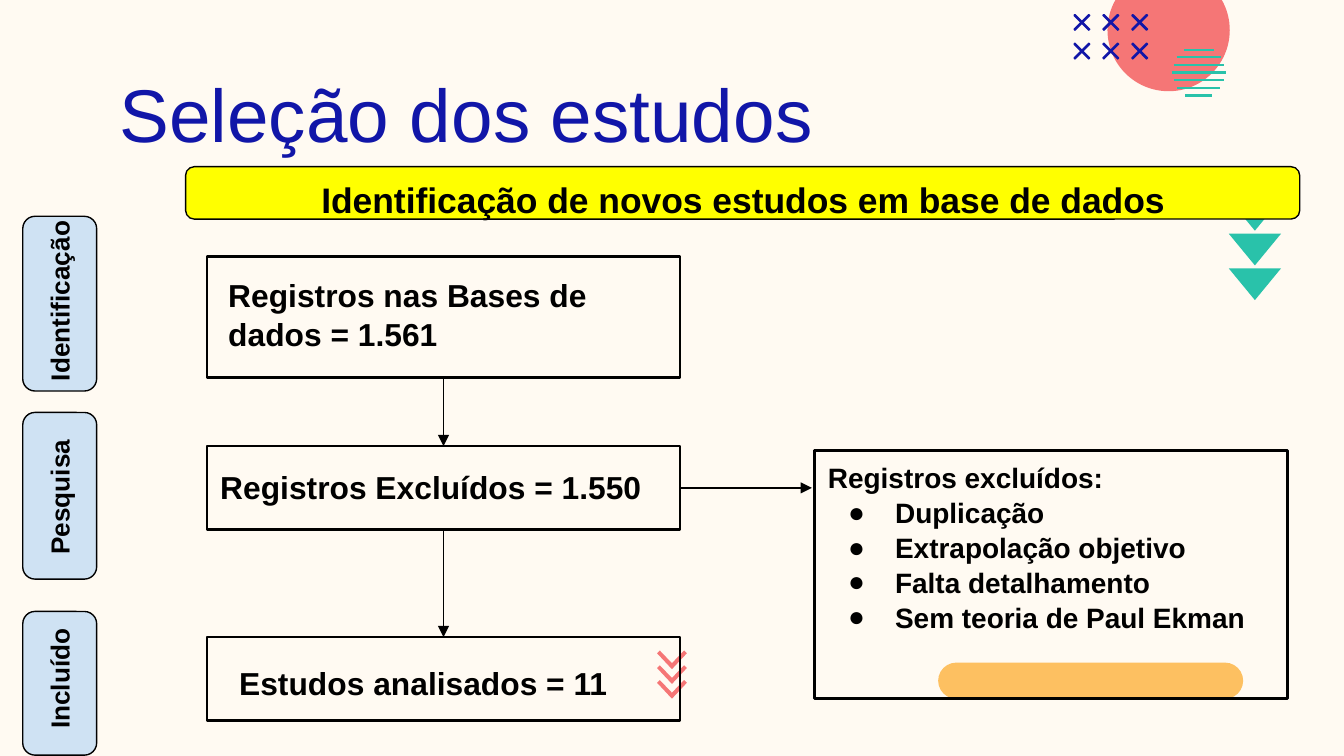
from lxml import etree
from pptx import Presentation
from pptx.dml.color import RGBColor
from pptx.enum.shapes import MSO_CONNECTOR, MSO_SHAPE
from pptx.enum.text import MSO_ANCHOR, MSO_AUTO_SIZE, PP_ALIGN
from pptx.oxml.ns import qn
from pptx.util import Pt

RECT = MSO_SHAPE.RECTANGLE
ROUND = MSO_SHAPE.ROUNDED_RECTANGLE
OVAL = MSO_SHAPE.OVAL
TRIANGLE = MSO_SHAPE.FLOWCHART_MERGE
STRAIGHT = MSO_CONNECTOR.STRAIGHT
LEFT, CENTER = PP_ALIGN.LEFT, PP_ALIGN.CENTER
TOP, MIDDLE = MSO_ANCHOR.TOP, MSO_ANCHOR.MIDDLE
NO_FIT = MSO_AUTO_SIZE.NONE

COLORS = {
    "cream": "FFFAF2", "coral": "F57676", "teal": "29C2AA", "navy": "1116A8",
    "orange": "FDC061", "yellow": "FFFF00", "sky": "CFE2F3", "black": "000000",
}
FONT = "Arial"
INSET = 7.2
LINE_SPACING = 1.04
BOX_X, BOX_W = 110.9, 253.4


def rgb(name):
    return RGBColor.from_string(COLORS[name])


def paint(sp, fill=None, line=None, width=0.75):
    sp.shadow.inherit = False
    if fill:
        sp.fill.solid()
        sp.fill.fore_color.rgb = rgb(fill)
    else:
        sp.fill.background()
    if line:
        sp.line.color.rgb = rgb(line)
        sp.line.width = Pt(width)
    else:
        sp.line.fill.background()


def add_shape(s, kind, x, y, w, h, fill=None, line=None, width=0.75):
    sp = s.shapes.add_shape(kind, Pt(x), Pt(y), Pt(w), Pt(h))
    paint(sp, fill, line, width)
    return sp


def add_polygon(s, points, fill, line=None):
    points = [(Pt(x), Pt(y)) for x, y in points]
    builder = s.shapes.build_freeform(*points[0], scale=1.0)
    builder.add_line_segments(points[1:], close=True)
    paint(builder.convert_to_shape(), fill, line)


def add_line(s, x1, y1, x2, y2, color="black", width=0.75, arrow=False):
    c = s.shapes.add_connector(STRAIGHT, Pt(x1), Pt(y1), Pt(x2), Pt(y2))
    c.line.color.rgb = rgb(color)
    c.line.width = Pt(width)
    if arrow:
        etree.SubElement(c.line._get_or_add_ln(), qn("a:tailEnd"), type="triangle")
    etree.SubElement(c._element.spPr, qn("a:effectLst"))


def place(sp, x, y, w, h):
    sp.left, sp.top, sp.width, sp.height = Pt(x), Pt(y), Pt(w), Pt(h)


def set_text(sp, lines, size, align=LEFT, color="black", bold=True, anchor=TOP,
             spacing=LINE_SPACING):
    tf = sp.text_frame
    tf.word_wrap = True
    tf.auto_size = NO_FIT
    tf.vertical_anchor = anchor
    tf.margin_left = tf.margin_right = tf.margin_top = tf.margin_bottom = Pt(INSET)
    tf.text = "\n".join(lines)
    for p in tf.paragraphs:
        p.alignment = align
        p.line_spacing = spacing
        p.space_before = Pt(0)
        p.font.name, p.font.size, p.font.bold = FONT, Pt(size), bold
        p.font.color.rgb = rgb(color)


def add_text(s, text, x, y, w, h, size, align=LEFT, rotation=0):
    sp = s.shapes.add_textbox(Pt(x), Pt(y), Pt(w), Pt(h))
    sp.rotation = rotation
    set_text(sp, [text], size, align)


def set_bullet(p, char=None, indent=0, hanging=0):
    pPr = p._p.get_or_add_pPr()
    pPr.set("marL", str(Pt(indent)))
    pPr.set("indent", str(-Pt(hanging)))
    bullet = etree.Element(qn("a:buChar"), char=char) if char else etree.Element(qn("a:buNone"))
    pPr.find(qn("a:defRPr")).addprevious(bullet)


def add_cross(s, cx, cy, arm=4.2, notch=0.5):
    quarter = [(0, -notch), (arm - notch, -arm), (arm, notch - arm)]
    points = []
    for _ in range(4):
        points += [(cx + x, cy + y) for x, y in quarter]
        quarter = [(-y, x) for x, y in quarter]
    add_polygon(s, points, "navy", "navy")


def add_chevron(s, x, y):
    outline = [(0, 1.5), (8, 10), (16, 1.5), (14.5, 0), (8, 6.8), (1.5, 0)]
    add_polygon(s, [(x + dx, y + dy) for dx, dy in outline], "coral")


def add_decoration(s):
    add_shape(s, OVAL, 593.3, -16.6, 65.5, 65.5, "coral")
    for i, w in enumerate([15.8, 23.8, 27, 28.8, 27, 23, 14.4]):
        y = 26.6 + 4.1 * i
        add_line(s, 642.2 - w / 2, y, 642.2 + w / 2, y, "teal", 1.2)
    for row in range(2):
        for col in range(3):
            add_cross(s, 579.6 + 15.5 * col, 12 + 15.4 * row)
    for i in range(3):
        add_shape(s, TRIANGLE, 658.3, 106.6 + 18.6 * i, 28, 17, "teal")
        add_chevron(s, 352, 348.5 + 7.9 * i)
    bar = add_shape(s, ROUND, 502.6, 355, 163.4, 19.4, "orange")
    bar.adjustments[0] = 0.5


def add_stage(s, text, y, h, text_w, text_cy):
    """Rounded side label with its name reading upwards."""
    add_shape(s, ROUND, 12.2, y, 39.6, h, "sky", "black")
    add_text(s, text, 31.3 - text_w / 2, text_cy - 15.9, text_w, 31.7, 14, CENTER, 270)


def add_box(s, text, y, h, text_at):
    add_shape(s, RECT, BOX_X, y, BOX_W, h, line="black", width=1.5)
    add_text(s, text, *text_at, 17)


def main():
    prs = Presentation()
    prs.slide_width, prs.slide_height = Pt(720), Pt(405)
    s = prs.slides.add_slide(prs.slide_layouts[1])
    s.background.fill.solid()
    s.background.fill.fore_color.rgb = rgb("cream")
    add_decoration(s)

    title, body = s.placeholders
    place(title, 56.9, 41.8, 446.4, 37.4)
    set_text(title, ["Seleção dos estudos"], 40, color="navy", bold=False,
             anchor=MIDDLE, spacing=1.0)

    add_shape(s, ROUND, 99.4, 89.3, 596.9, 28.1, "yellow", "black")
    add_text(s, "Identificação de novos estudos em base de dados",
             108.7, 87.1, 578.9, 37.4, 19, CENTER)

    add_stage(s, "Identificação", 115.9, 93.6, 100, 161.3)
    add_stage(s, "Pesquisa", 221, 89.3, 83, 266.4)
    add_stage(s, "Incluído", 327.6, 77, 78, 363.6)

    add_box(s, "Registros nas Bases de dados = 1.561", 137.5, 64.8,
            (115.2, 139.7, 242.6, 55.4))
    add_box(s, "Registros Excluídos = 1.550", 239, 44.6, (BOX_X, 242.6, BOX_W, 35.3))
    add_box(s, "Estudos analisados = 11", 341.3, 44.6, (121, 347.8, 231.1, 35.3))
    center = BOX_X + BOX_W / 2
    add_line(s, center, 202.3, center, 239, arrow=True)
    add_line(s, center, 283.6, center, 341.3, arrow=True)
    add_line(s, BOX_X + BOX_W, 261.4, 434.9, 261.4, arrow=True)

    add_shape(s, RECT, 436.3, 241.2, BOX_W, 133.2, line="black", width=1.5)
    place(body, 436.3, 239, 249.1, 105.1)
    set_text(body, ["Registros excluídos:", "Duplicação", "Extrapolação objetivo",
                    "Falta detalhamento", "Sem teoria de Paul Ekman"], 15)
    heading, *reasons = body.text_frame.paragraphs
    set_bullet(heading)
    for p in reasons:
        set_bullet(p, "●", 36, 25.2)

    prs.save("out.pptx")


if __name__ == "__main__":
    main()
